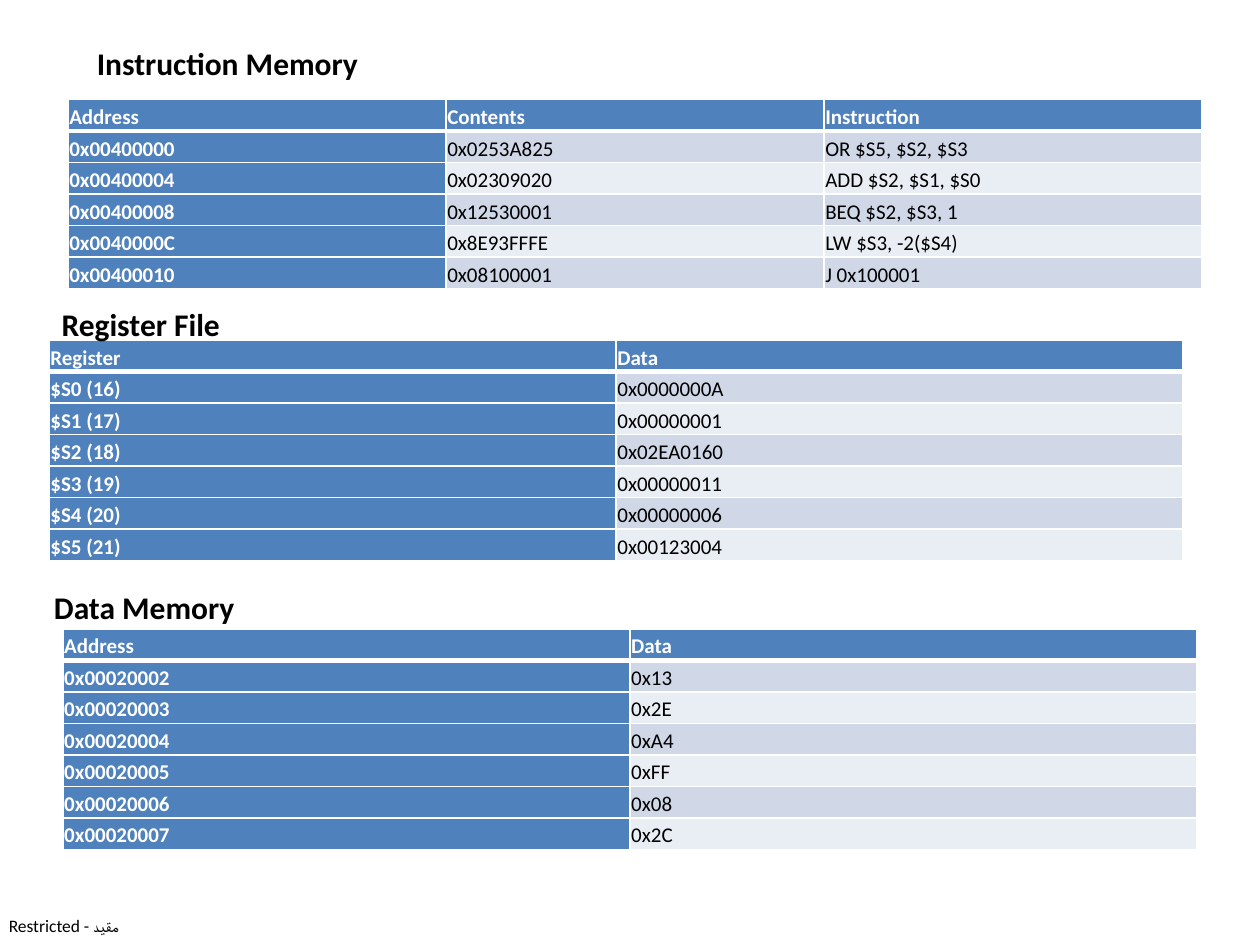
from lxml import etree
from pptx import Presentation
from pptx.dml.color import RGBColor
from pptx.enum.text import MSO_ANCHOR
from pptx.oxml.ns import qn
from pptx.util import Inches, Pt

MIDDLE = MSO_ANCHOR.MIDDLE
FONT = "Calibri"
BLACK = RGBColor(0x00, 0x00, 0x00)
WHITE = RGBColor(0xFF, 0xFF, 0xFF)
BLUE = RGBColor(0x4F, 0x81, 0xBD)
BAND_DARK = RGBColor(0xD0, 0xD8, 0xE8)
BAND_LIGHT = RGBColor(0xE9, 0xED, 0xF4)

TABLE_WIDTH = 9
ROW_HEIGHT = 0.25
CELL_MARGIN = Inches(0.01)

INSTRUCTION_MEMORY = [
    ("Address", "Contents", "Instruction"),
    ("0x00400000", "0x0253A825", "OR $S5, $S2, $S3"),
    ("0x00400004", "0x02309020", "ADD $S2, $S1, $S0"),
    ("0x00400008", "0x12530001", "BEQ $S2, $S3, 1"),
    ("0x0040000C", "0x8E93FFFE", "LW $S3, -2($S4)"),
    ("0x00400010", "0x08100001", "J 0x100001"),
]
REGISTER_FILE = [
    ("Register", "Data"),
    ("$S0 (16)", "0x0000000A"),
    ("$S1 (17)", "0x00000001"),
    ("$S2 (18)", "0x02EA0160"),
    ("$S3 (19)", "0x00000011"),
    ("$S4 (20)", "0x00000006"),
    ("$S5 (21)", "0x00123004"),
]
DATA_MEMORY = [
    ("Address", "Data"),
    ("0x00020002", "0x13"),
    ("0x00020003", "0x2E"),
    ("0x00020004", "0xA4"),
    ("0x00020005", "0xFF"),
    ("0x00020006", "0x08"),
    ("0x00020007", "0x2C"),
]


def format_font(font, size, color, bold):
    font.name = FONT
    font.size = Pt(size)
    font.color.rgb = color
    font.bold = bold


def add_text(slide, text, left, top, width, height, size, bold):
    box = slide.shapes.add_textbox(Inches(left), Inches(top), Inches(width), Inches(height))
    frame = box.text_frame
    frame.text = text
    format_font(frame.paragraphs[0].runs[0].font, size, BLACK, bold)
    return frame


def add_heading(slide, text, left, top, width):
    add_text(slide, text, left, top, width, 0.71, 18, True).word_wrap = True


def add_footer(slide, text):
    frame = add_text(slide, text, 0.07, 7.26, 0.96, 0.17, 10, False)
    frame.word_wrap = False
    frame.margin_left = frame.margin_right = 0
    frame.margin_top = frame.margin_bottom = 0


def set_borders(cell, top, bottom):
    """White lines on all four sides; top and bottom widths in points."""
    properties = cell._tc.get_or_add_tcPr()
    for side, width in (("L", 1), ("R", 1), ("T", top), ("B", bottom)):
        line = etree.SubElement(properties, qn(f"a:ln{side}"), w=str(Pt(width)))
        fill = etree.SubElement(line, qn("a:solidFill"))
        etree.SubElement(fill, qn("a:srgbClr"), val=str(WHITE))


def format_cell(cell, text, row, column):
    is_header = row == 0
    is_blue = is_header or column == 0
    set_borders(cell, top=3 if row == 1 else 1, bottom=3 if is_header else 1)
    cell.fill.solid()
    cell.fill.fore_color.rgb = BLUE if is_blue else BAND_DARK if row % 2 else BAND_LIGHT
    cell.vertical_anchor = MIDDLE
    cell.margin_left = cell.margin_right = CELL_MARGIN
    cell.margin_top = cell.margin_bottom = CELL_MARGIN

    para = cell.text_frame.paragraphs[0]
    para.text = text
    para.line_spacing = 1.15
    para.space_after = Pt(8)
    format_font(para.runs[0].font, 12, WHITE if is_blue else BLACK, is_blue)


def add_memory_table(slide, rows, left, top):
    column_count = len(rows[0])
    table = slide.shapes.add_table(
        len(rows), column_count, Inches(left), Inches(top),
        Inches(TABLE_WIDTH), Inches(ROW_HEIGHT * len(rows))).table
    for column in table.columns:
        column.width = Inches(TABLE_WIDTH / column_count)
    for row, values in enumerate(rows):
        table.rows[row].height = Inches(ROW_HEIGHT)
        for column, text in enumerate(values):
            format_cell(table.cell(row, column), text, row, column)


def main():
    deck = Presentation()
    deck.slide_width = Inches(10)
    deck.slide_height = Inches(7.5)
    page = deck.slides.add_slide(deck.slide_layouts[6])

    add_footer(page, "Restricted - مقيد")

    # Tables
    add_memory_table(page, INSTRUCTION_MEMORY, 0.54, 0.79)
    add_memory_table(page, REGISTER_FILE, 0.39, 2.7)
    add_memory_table(page, DATA_MEMORY, 0.5, 4.99)

    # Headings above the tables
    add_heading(page, "Instruction Memory", 0.67, 0.3, 3.25)
    add_heading(page, "Register File", 0.39, 2.37, 3)
    add_heading(page, "Data Memory", 0.33, 4.62, 2.83)

    deck.save("out.pptx")


if __name__ == "__main__":
    main()
